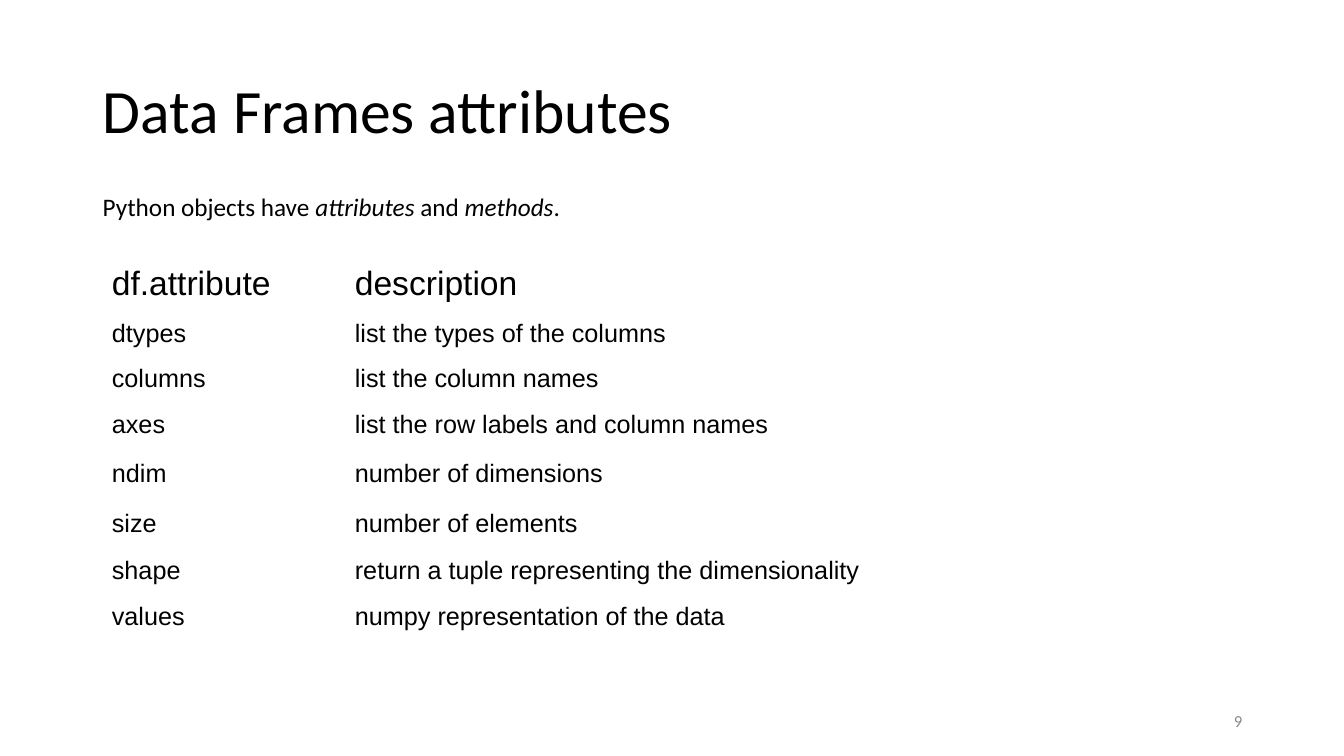
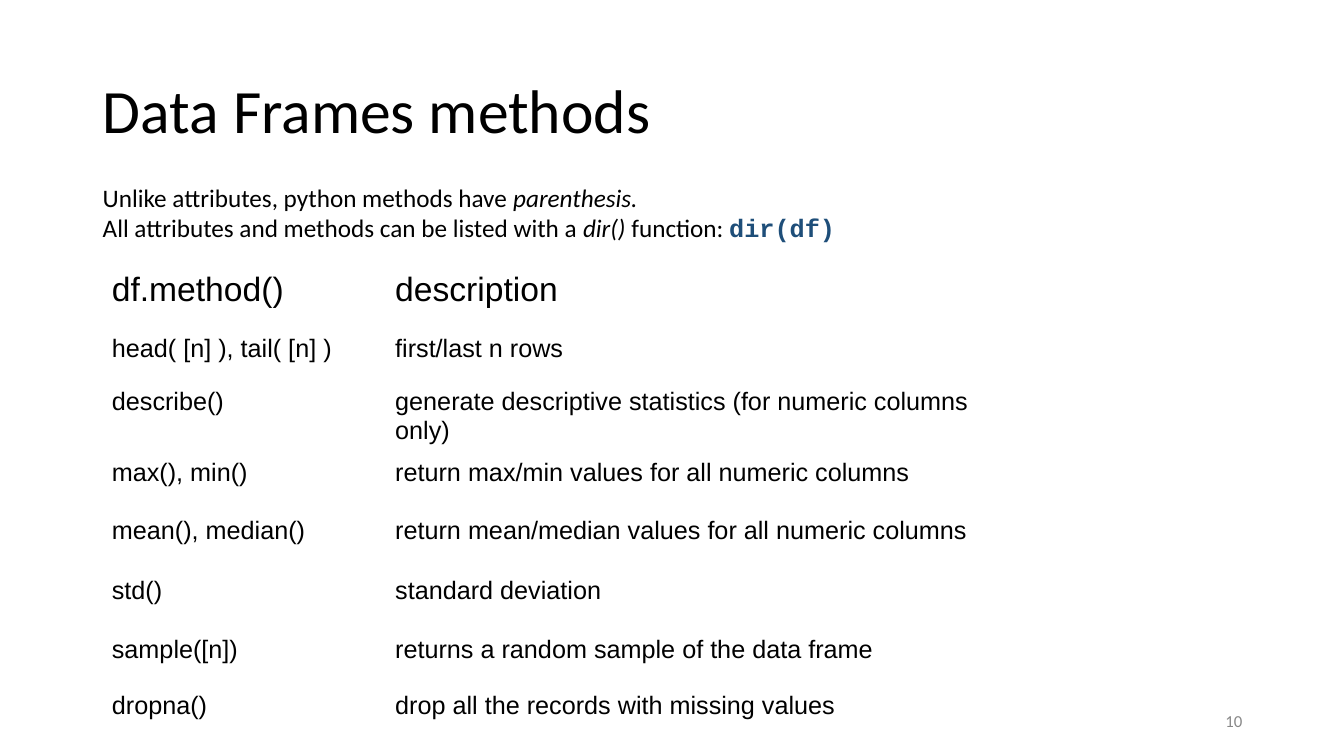
from dataclasses import dataclass
from typing import Any

from pptx import Presentation
from pptx.dml.color import RGBColor as Rgb
from pptx.enum.text import MSO_ANCHOR as Anchor, MSO_AUTO_SIZE as Fit, PP_ALIGN as Align
from pptx.util import Inches, Pt

COLORS = {"text": "000000", "page": "888888", "code": "1E4E79"}
STYLES: dict[str, dict[str, Any]] = {
    "title": {"size": Pt(44), "name": "Calibri"},
    "page": {"size": Pt(12), "name": "Calibri"},
    "plain": {"size": Pt(18), "name": "Calibri"},
    "term": {"size": Pt(18), "name": "Calibri", "italic": True},
    "code": {"size": Pt(18), "name": "Courier New", "bold": True},
    "head": {"size": Pt(24), "name": "Arial"},
    "cell": {"size": Pt(18), "name": "Arial"},
}
TITLE_ONLY = 5

Run = tuple[str, str]
Line = list[Run]


@dataclass(frozen=True)
class Box:
    left: float
    top: float
    width: float
    height: float

    def lengths(self) -> list[int]:
        return [Inches(n) for n in (self.left, self.top, self.width, self.height)]


@dataclass(frozen=True)
class Grid:
    top: float
    widths: list[float]
    heights: list[float]
    rows: list[tuple[str, str]]


@dataclass(frozen=True)
class Page:
    number: int
    title: str
    intro: Box
    lines: list[Line]
    grid: Grid


TITLE_BOX = Box(0.92, 0.4, 11.5, 1.45)
PAGE_BOX = Box(9.42, 6.95, 3, 0.4)
GRID_LEFT = 1.01

PAGES = [
    Page(
        9,
        "Data Frames attributes",
        Box(0.92, 1.85, 8.19, 0.4),
        [[("Python objects have ", "plain"), ("attributes", "term"), (" and ", "plain"),
          ("methods", "term"), (".", "plain")]],
        Grid(
            2.58,
            [2.41, 6.81],
            [0.54, 0.45, 0.45, 0.49, 0.5, 0.46, 0.46, 0.46],
            [
                ("df.attribute", "description"),
                ("dtypes", "list the types of the columns"),
                ("columns", "list the column names"),
                ("axes", "list the row labels and column names"),
                ("ndim", "number of dimensions"),
                ("size", "number of elements"),
                ("shape", "return a tuple representing the dimensionality"),
                ("values", "numpy representation of the data"),
            ],
        ),
    ),
    Page(
        10,
        "Data Frames methods",
        Box(0.92, 1.76, 8.19, 0.71),
        [
            [("Unlike attributes, python methods have ", "plain"), ("parenthesis.", "term")],
            [("All attributes and methods can be listed with a ", "plain"), ("dir() ", "term"),
             ("function: ", "plain"), ("dir(df)", "code")],
        ],
        Grid(
            2.64,
            [2.81, 6.42],
            [0.63, 0.53, 0.53, 0.58, 0.59, 0.59, 0.55, 0.55],
            [
                ("df.method()", "description"),
                ("head( [n] ), tail( [n] )", "first/last n rows"),
                ("describe()", "generate descriptive statistics (for numeric columns only)"),
                ("max(), min()", "return max/min values for all numeric columns"),
                ("mean(), median()", "return mean/median values for all numeric columns"),
                ("std()", "standard deviation"),
                ("sample([n])", "returns a random sample of the data frame"),
                ("dropna()", "drop all the records with missing values"),
            ],
        ),
    ),
]


def assign(target: Any, values: dict[str, Any]) -> None:
    for key, value in values.items():
        setattr(target, key, value)


def write(frame: Any, lines: list[Line], **layout: Any) -> None:
    for index, line in enumerate(lines):
        para = frame.paragraphs[0] if index == 0 else frame.add_paragraph()
        assign(para, layout)
        for text, style in line:
            run = para.add_run()
            run.text = text
            assign(run.font, STYLES[style])
            run.font.color.rgb = Rgb.from_string(COLORS.get(style, COLORS["text"]))


def add_title(slide: Any, text: str) -> None:
    title = slide.shapes.title
    assign(title, dict(zip(("left", "top", "width", "height"), TITLE_BOX.lengths())))
    frame = title.text_frame
    assign(frame, {"auto_size": Fit.NONE, "vertical_anchor": Anchor.MIDDLE, "word_wrap": True})
    write(frame, [[(text, "title")]], alignment=Align.LEFT, line_spacing=0.9)


def add_text(slide: Any, box: Box, lines: list[Line], anchor: Any, align: Any) -> None:
    frame = slide.shapes.add_textbox(*box.lengths()).text_frame
    assign(frame, {"word_wrap": True, "vertical_anchor": anchor})
    write(frame, lines, alignment=align)


def add_grid(slide: Any, grid: Grid) -> None:
    box = Box(GRID_LEFT, grid.top, sum(grid.widths), sum(grid.heights))
    table = slide.shapes.add_table(len(grid.rows), len(grid.widths), *box.lengths()).table
    assign(table, {"first_row": False, "horz_banding": False})
    for column, width in zip(table.columns, grid.widths):
        column.width = Inches(width)
    for index, (row, height, texts) in enumerate(zip(table.rows, grid.heights, grid.rows)):
        row.height = Inches(height)
        for cell, text in zip(row.cells, texts):
            cell.fill.background()
            write(cell.text_frame, [[(text, "cell" if index else "head")]])


def main() -> None:
    deck = Presentation()
    assign(deck, {"slide_width": Inches(13.33), "slide_height": Inches(7.5)})
    for page in PAGES:
        slide = deck.slides.add_slide(deck.slide_layouts[TITLE_ONLY])
        add_title(slide, page.title)
        add_text(slide, PAGE_BOX, [[(str(page.number), "page")]], Anchor.MIDDLE, Align.RIGHT)
        add_text(slide, page.intro, page.lines, Anchor.TOP, Align.LEFT)
        add_grid(slide, page.grid)
    deck.save("out.pptx")


if __name__ == "__main__":
    main()
